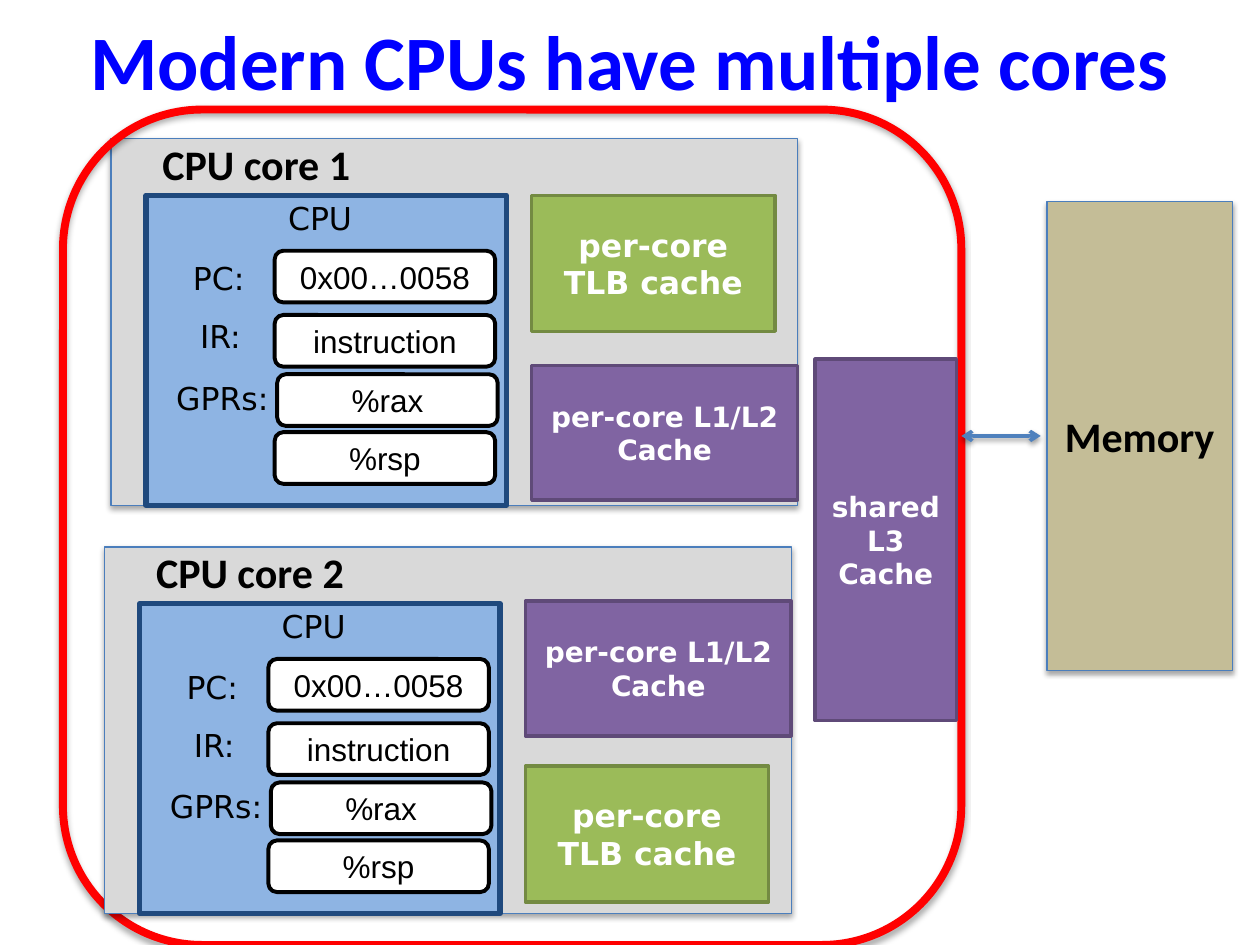
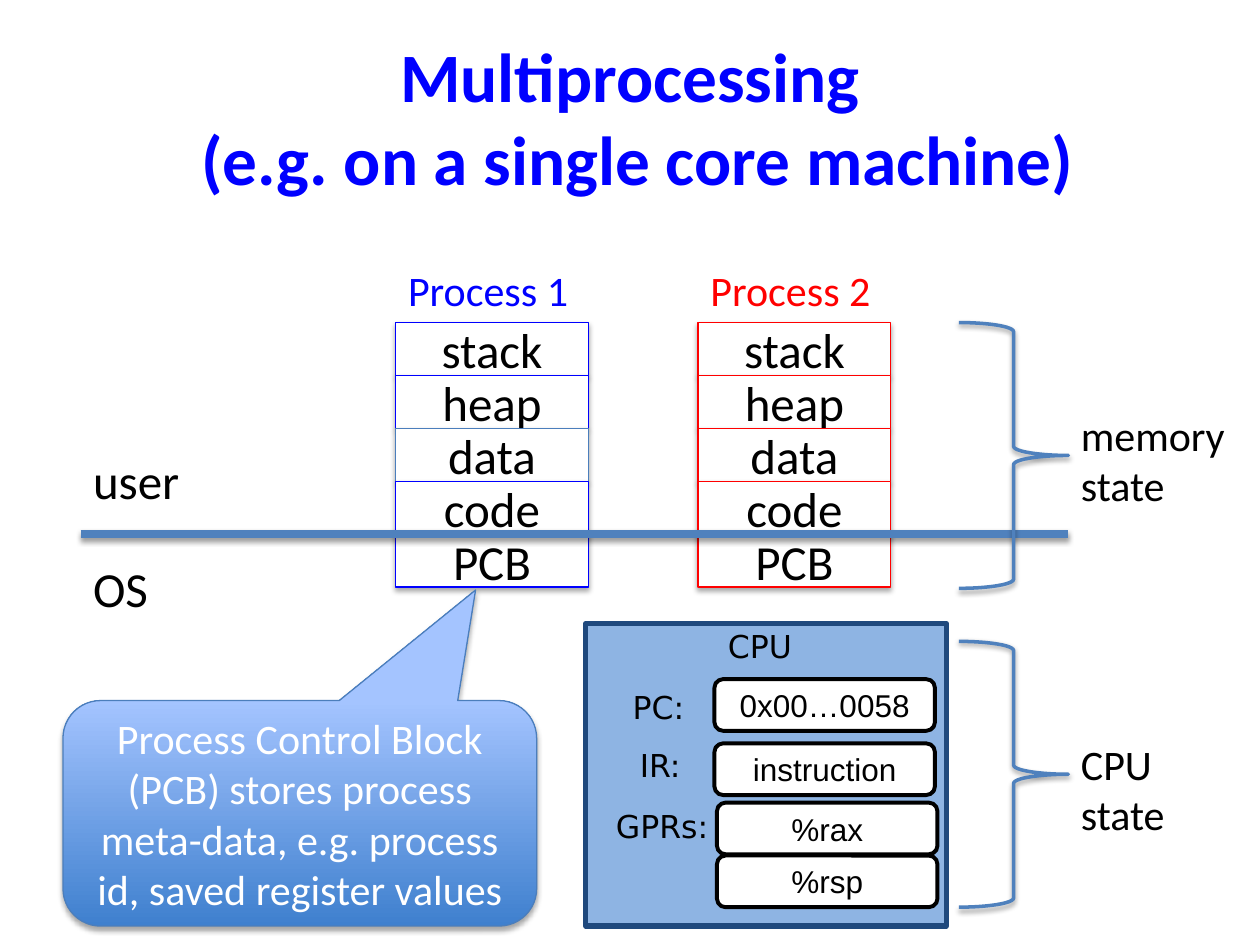
from lxml import etree
from pptx import Presentation
from pptx.dml.color import RGBColor
from pptx.enum.shapes import MSO_CONNECTOR as Line, MSO_SHAPE as Kind
from pptx.enum.text import MSO_ANCHOR as Anchor, MSO_AUTO_SIZE as Fit, PP_ALIGN as Align
from pptx.oxml.ns import qn
from pptx.util import Inches, Pt

# Shared look
BODY, LABEL, VALUE = "Calibri", "DejaVu Sans", "Arial"
BLACK, WHITE, BLUE, RED = "000000", "FFFFFF", "0000FF", "FF0000"
EDGE, ACCENT = "4B7EBC", "4F81BD"
GREEN, PURPLE = ("9BBB59", "738A42"), ("8064A2", "5F4A78")


def color(code):
    return RGBColor.from_string(code)


def place(*box):
    return [Inches(n) for n in box]


def write(shape, text, size, font=BODY, ink=BLACK, bold=False, align=Align.CENTER):
    frame = shape.text_frame
    frame.text = text
    for para in frame.paragraphs:
        para.alignment = align
        para.font.size = Pt(size)
        para.font.name = font
        para.font.bold = bold
        para.font.color.rgb = color(ink)
    return frame


def add_shadow(shape, alpha=35, dist=1.8):
    spot = shape._element.spPr
    effects = spot.find(qn("a:effectLst"))
    if effects is None:
        effects = etree.SubElement(spot, qn("a:effectLst"))
    outer = etree.SubElement(effects, qn("a:outerShdw"), blurRad=str(Pt(3.1)),
                             dist=str(Pt(dist)), dir="5400000", rotWithShape="0")
    tint = etree.SubElement(outer, qn("a:srgbClr"), val=BLACK)
    etree.SubElement(tint, qn("a:alpha"), val=str(alpha * 1000))


def add_box(slide, box, fill, edge, width, kind=Kind.RECTANGLE):
    shape = slide.shapes.add_shape(kind, *place(*box))
    shape.shadow.inherit = False
    if fill:
        shape.fill.solid()
        shape.fill.fore_color.rgb = color(fill)
    else:
        shape.fill.background()
    shape.line.color.rgb = color(edge)
    shape.line.width = Pt(width)
    shape.text_frame.vertical_anchor = Anchor.MIDDLE
    return shape


def add_label(slide, box, text, size, font=BODY, ink=BLACK, bold=False, align=Align.LEFT):
    label = slide.shapes.add_textbox(*place(*box))
    frame = write(label, text, size, font, ink, bold, align)
    frame.word_wrap = False
    frame.auto_size = Fit.SHAPE_TO_FIT_TEXT


def add_line(slide, ends, width, arrows=False):
    line = slide.shapes.add_connector(Line.STRAIGHT, *place(*ends))
    line.line.color.rgb = color(ACCENT)
    line.line.width = Pt(width)
    if arrows:
        for end in ("a:headEnd", "a:tailEnd"):
            etree.SubElement(line.line._get_or_add_ln(), qn(end), type="arrow")
    add_shadow(line, 38, 1.6)


def add_title(slide, top, text, size):
    title = slide.shapes.add_textbox(*place(0.5, top, 9, 1.25))
    frame = write(title, text, size, ink=BLUE, bold=True)
    frame.word_wrap = True
    frame.vertical_anchor = Anchor.MIDDLE


# CPU card with its registers, used on both slides
def add_cpu(slide, left, top, height, last):
    add_box(slide, (left, top, 2.86, height), "8EB4E3", "1F497D", 3)
    labels = [("CPU", 1.02, -0.02, 0.72), ("PC:", 0.25, 0.46, 0.65),
              ("IR:", 0.29, 0.92, 0.6), ("GPRs:", 0.12, 1.41, 0.97)]
    for text, x, y, width in labels:
        add_label(slide, (left + x, top + y, width, 0.4), text, 18, LABEL,
                  align=Align.CENTER)
    values = [("0x00…0058", 1.02, 0.44), ("instruction", 1.02, 0.95),
              ("%rax", 1.04, 1.42), ("%rsp", *last)]
    for text, x, y in values:
        cell = add_box(slide, (left + x, top + y, 1.75, 0.41), WHITE, BLACK, 2.25,
                       Kind.ROUNDED_RECTANGLE)
        write(cell, text, 18, VALUE)


def add_cache(slide, box, text, size, colors):
    cache = add_box(slide, box, *colors, 2)
    write(cache, text, size, LABEL, WHITE, True)


def add_core(slide, left, top, name, tlb, near):
    core = add_box(slide, (left, top, 5.45, 2.91), "D9D9D9", EDGE, 0.75)
    add_shadow(core)
    add_cpu(slide, left + 0.28, top + 0.45, 2.46, (1.02, 1.88))
    add_cache(slide, (left + 3.34, top + tlb, 1.93, 1.08), "per-core TLB cache", 18, GREEN)
    add_cache(slide, (left + 3.34, top + near, 2.11, 1.07), "per-core L1/L2\nCache", 16,
              PURPLE)
    add_label(slide, (left + 0.31, top - 0.05, 1.71, 0.5), name, 24, bold=True)


def add_stack(slide, left, top, name, ink, edges):
    add_label(slide, (left, top, 1.49, 0.5), name, 24, ink=ink)
    parts = ("stack", "heap", "data", "code", "PCB")
    for i, part in enumerate(parts):
        cell = add_box(slide, (left, top + 0.51 + i * 0.42, 1.53, 0.42), WHITE,
                       edges.get(part, ink), 0.75)
        add_shadow(cell)
        write(cell, part, 28)


def add_brace(slide, left, top, text, width, drop):
    brace = add_box(slide, (left, top, 0.87, 2.11), None, ACCENT, 2, Kind.RIGHT_BRACE)
    add_shadow(brace, 38, 1.6)
    add_label(slide, (left + 0.87, top + drop, width, 0.91), text, 24)


def add_note(slide, box, text):
    note = add_box(slide, box, WHITE, EDGE, 0.75, Kind.ROUNDED_RECTANGULAR_CALLOUT)
    for i, value in enumerate((0.371, -0.99, 0.167)):
        note.adjustments[i] = value
    note.fill.gradient()
    note.fill.gradient_angle = 90
    for stop, pos, code in zip(note.fill.gradient_stops, (0, 1), ("3F80CE", "A4C4FF")):
        stop.position = pos
        stop.color.rgb = color(code)
    add_shadow(note)
    write(note, text, 24, ink=WHITE)


def draw_cores(slide):
    add_title(slide, -0.15, "Modern CPUs have multiple cores", 44)
    add_core(slide, 0.88, 1.1, "CPU core 1", 0.45, 1.8)
    # Chip outline and memory
    chip = add_box(slide, (0.5, 0.87, 7.13, 6.63), None, RED, 4.5, Kind.ROUNDED_RECTANGLE)
    add_shadow(chip)
    memory = add_box(slide, (8.31, 1.6, 1.47, 3.72), "C4BD97", EDGE, 0.75)
    add_shadow(memory)
    write(memory, "Memory", 24, bold=True)
    add_line(slide, (7.63, 3.46, 8.26, 3.46), 2, arrows=True)
    add_core(slide, 0.83, 4.34, "CPU core 2", 1.74, 0.43)
    add_cache(slide, (6.47, 2.85, 1.12, 2.87), "shared L3\nCache", 16, PURPLE)


def draw_states(slide):
    add_title(slide, 0.3, "Multiprocessing\v (e.g. on a single core machine)", 39.6)
    add_stack(slide, 3.14, 2.05, "Process 1", BLUE, {"data": EDGE})
    add_stack(slide, 5.54, 2.05, "Process 2", RED, {})
    # Border between user and OS
    add_label(slide, (0.64, 3.53, 0.89, 0.57), "user", 28)
    add_label(slide, (0.64, 4.38, 0.64, 0.57), "OS", 28)
    add_line(slide, (0.64, 4.24, 8.48, 4.24), 4.5)
    add_note(slide, (0.5, 5.56, 3.76, 1.79), "Process Control Block (PCB) stores process "
             "meta-data, e.g. process id, saved register values")
    # Saved state
    add_brace(slide, 7.61, 2.56, "memory\nstate", 1.35, 0.64)
    add_cpu(slide, 4.65, 4.95, 2.4, (1.04, 1.84))
    add_brace(slide, 7.61, 5.09, "CPU\nstate", 0.89, 0.72)


def main():
    deck = Presentation()
    deck.slide_width, deck.slide_height = Inches(10), Inches(7.5)
    for draw in (draw_cores, draw_states):
        draw(deck.slides.add_slide(deck.slide_layouts[6]))
    deck.save("out.pptx")


if __name__ == "__main__":
    main()
